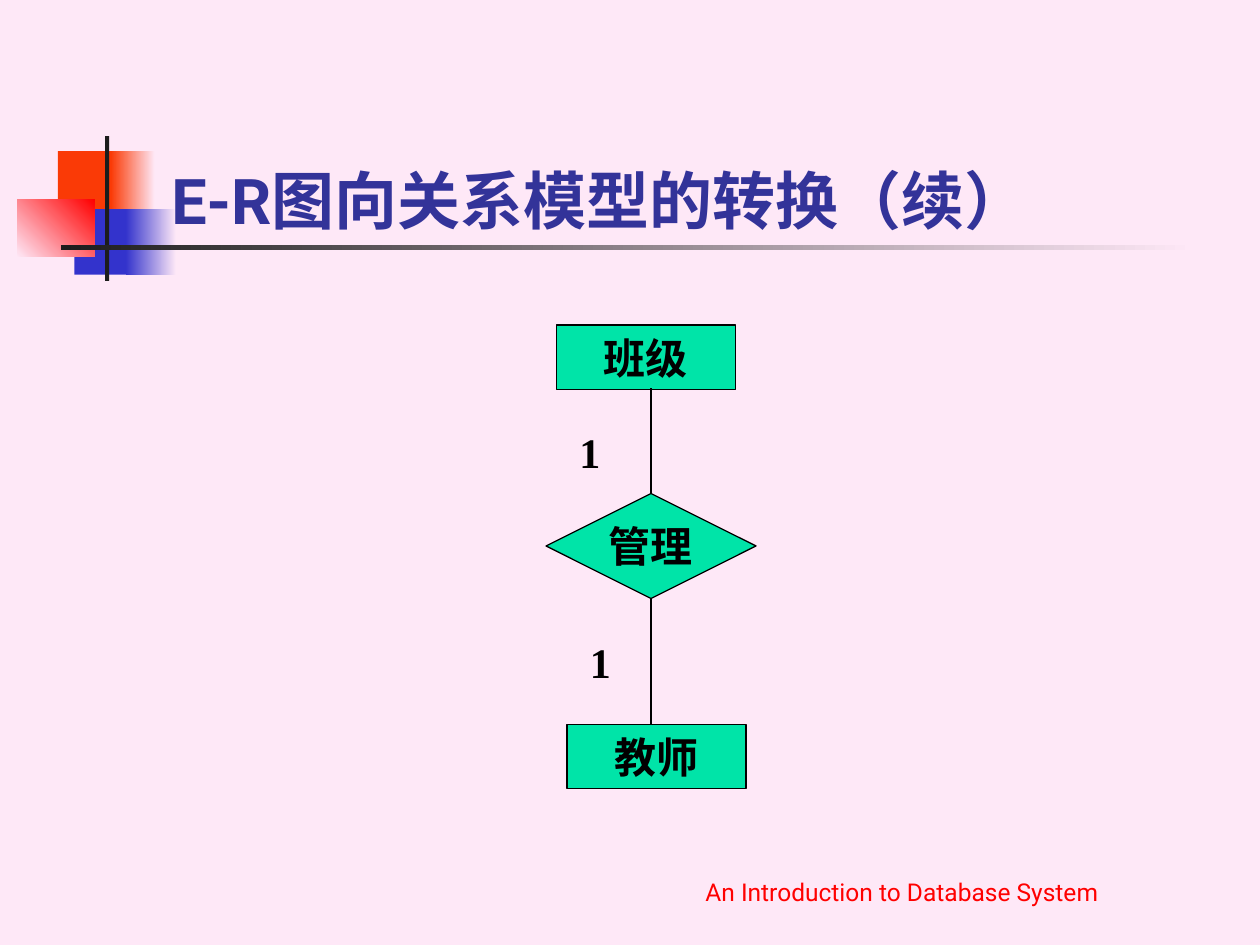
from lxml.etree import SubElement
from pptx import Presentation
from pptx.dml.color import RGBColor
from pptx.enum.shapes import MSO_CONNECTOR, MSO_SHAPE
from pptx.enum.text import MSO_ANCHOR, MSO_AUTO_SIZE, PP_ALIGN
from pptx.oxml.ns import qn
from pptx.util import Pt

PINK = RGBColor(0xFE, 0xE8, 0xF7)
ORANGE = RGBColor(0xFA, 0x3A, 0x06)
BLUE = RGBColor(0x33, 0x33, 0xCC)
NAVY = RGBColor(0x33, 0x33, 0x99)
RED = RGBColor(0xFF, 0x00, 0x00)
CHARCOAL = RGBColor(0x1C, 0x1C, 0x1C)
GREEN = RGBColor(0x00, 0xE4, 0xA8)
BLACK = RGBColor(0x00, 0x00, 0x00)


def write(holder, text, font, size, color, bold=True, align=PP_ALIGN.LEFT,
          anchor=MSO_ANCHOR.MIDDLE, wrap=True):
    frame = holder.text_frame
    frame.auto_size = MSO_AUTO_SIZE.NONE
    frame.word_wrap = wrap
    frame.vertical_anchor = anchor
    paragraph = frame.paragraphs[0]
    paragraph.alignment = align
    run = paragraph.add_run()
    run.text = text
    run.font.name = font
    run.font.size = Pt(size)
    run.font.bold = bold
    run.font.color.rgb = color


def add_filled(preset, left, top, width, height, start, end=None, angle=0):
    shape = slide.shapes.add_shape(preset, Pt(left), Pt(top), Pt(width), Pt(height))
    shape.shadow.inherit = False
    shape.line.fill.background()
    if end is None:
        shape.fill.solid()
        shape.fill.fore_color.rgb = start
    else:
        shape.fill.gradient()
        shape.fill.gradient_angle = angle
        for stop, color, position in zip(shape.fill.gradient_stops, (start, end), (0, 1)):
            stop.color.rgb = color
            stop.position = position
    return shape


prs = Presentation()
prs.slide_width, prs.slide_height = Pt(720), Pt(540)
slide = prs.slides.add_slide(prs.slide_layouts[5])
slide.background.fill.solid()
slide.background.fill.fore_color.rgb = PINK

for left, top, width, height, *colors in [
    (33.12, 86.4, 34.56, 37.44, ORANGE),
    (63.36, 86.4, 25.2, 37.44, ORANGE, PINK),
    (42.48, 119.52, 33.12, 37.44, BLUE),
    (72, 119.52, 28.8, 37.44, BLUE, PINK),
    (10, 113.76, 44, 33.12, PINK, RED, 45),
    (60, 77.76, 2.4, 82.8, CHARCOAL),
    (34.8, 140.2, 648, 2.4, CHARCOAL, PINK),
]:
    add_filled(MSO_SHAPE.RECTANGLE, left, top, width, height, *colors)

footer = slide.shapes.add_textbox(Pt(396), Pt(485.28), Pt(294.48), Pt(36))
write(footer, "An Introduction to Database System", "Roboto", 14, RED,
      bold=False, anchor=MSO_ANCHOR.BOTTOM)

title = slide.shapes.title
title.left, title.top, title.width, title.height = Pt(90.72), Pt(48.96), Pt(613.44), Pt(90)
write(title, "E-R图向关系模型的转换（续）", "Roboto", 36, NAVY, anchor=MSO_ANCHOR.BOTTOM)
title.element.getparent().append(title.element)

for preset, left, top, width, height, label in [
    (MSO_SHAPE.RECTANGLE, 318, 185.76, 102.24, 36.72, "班级"),
    (MSO_SHAPE.DIAMOND, 312, 282, 120, 60, "管理"),
    (MSO_SHAPE.RECTANGLE, 324, 414, 102.24, 36.72, "教师"),
]:
    node = add_filled(preset, left, top, width, height, GREEN)
    node.line.color.rgb = BLACK
    node.line.width = Pt(0.75)
    write(node, label, "Times New Roman", 24, BLACK, align=PP_ALIGN.CENTER,
          wrap=preset != MSO_SHAPE.DIAMOND)

for start, end in [(282, 222), (342, 414)]:
    link = slide.shapes.add_connector(MSO_CONNECTOR.STRAIGHT, Pt(372), Pt(start), Pt(372), Pt(end))
    link.line.color.rgb = BLACK
    link.line.width = Pt(0.75)
    SubElement(link.element.spPr, qn("a:effectLst"))

for left, top in [(324, 240), (330, 360)]:
    cardinality = slide.shapes.add_textbox(Pt(left), Pt(top), Pt(30), Pt(36))
    write(cardinality, "1", "Times New Roman", 24, BLACK)

prs.save("out.pptx")
